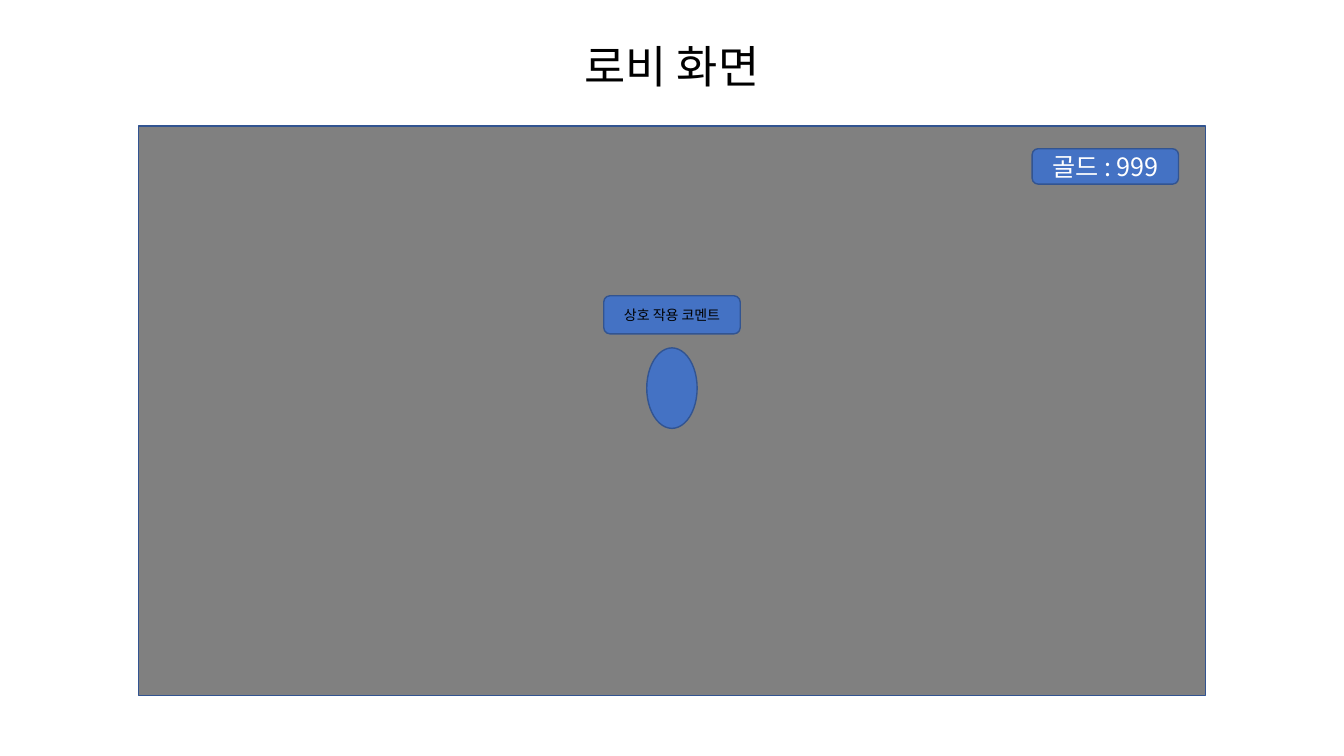
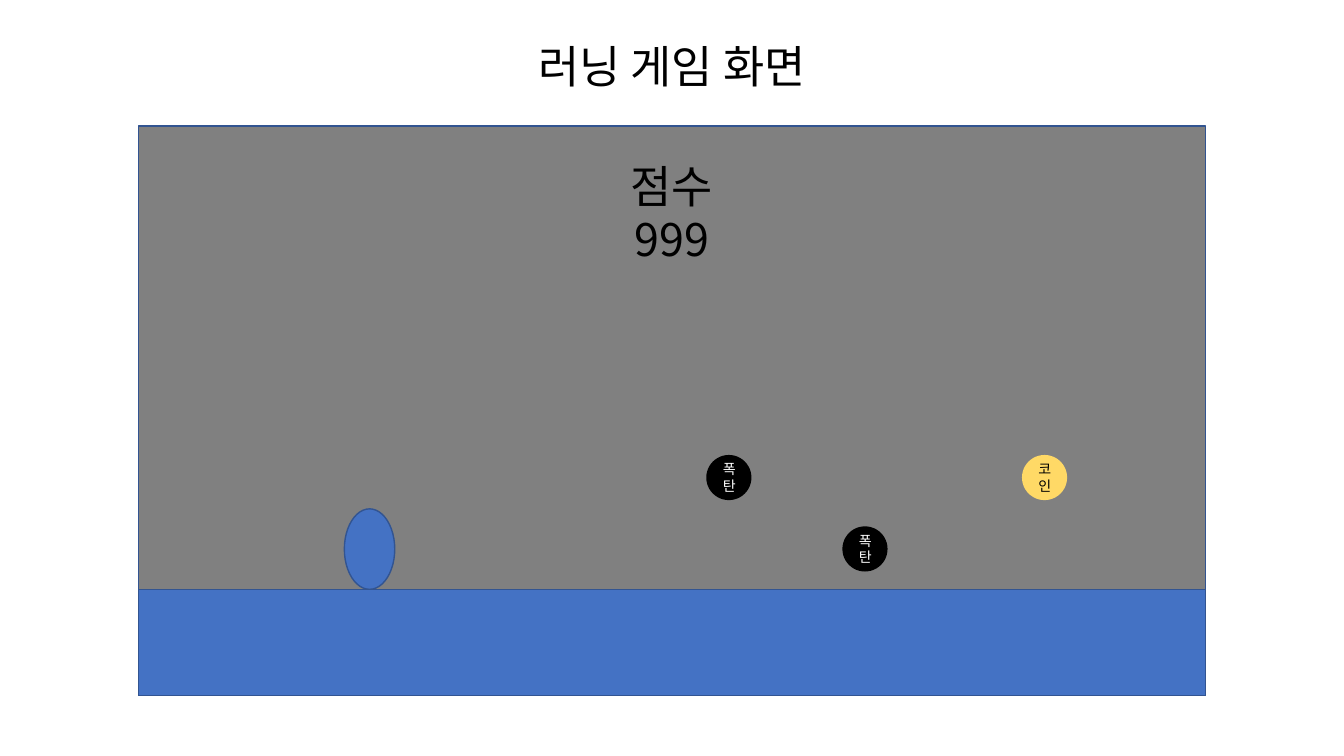
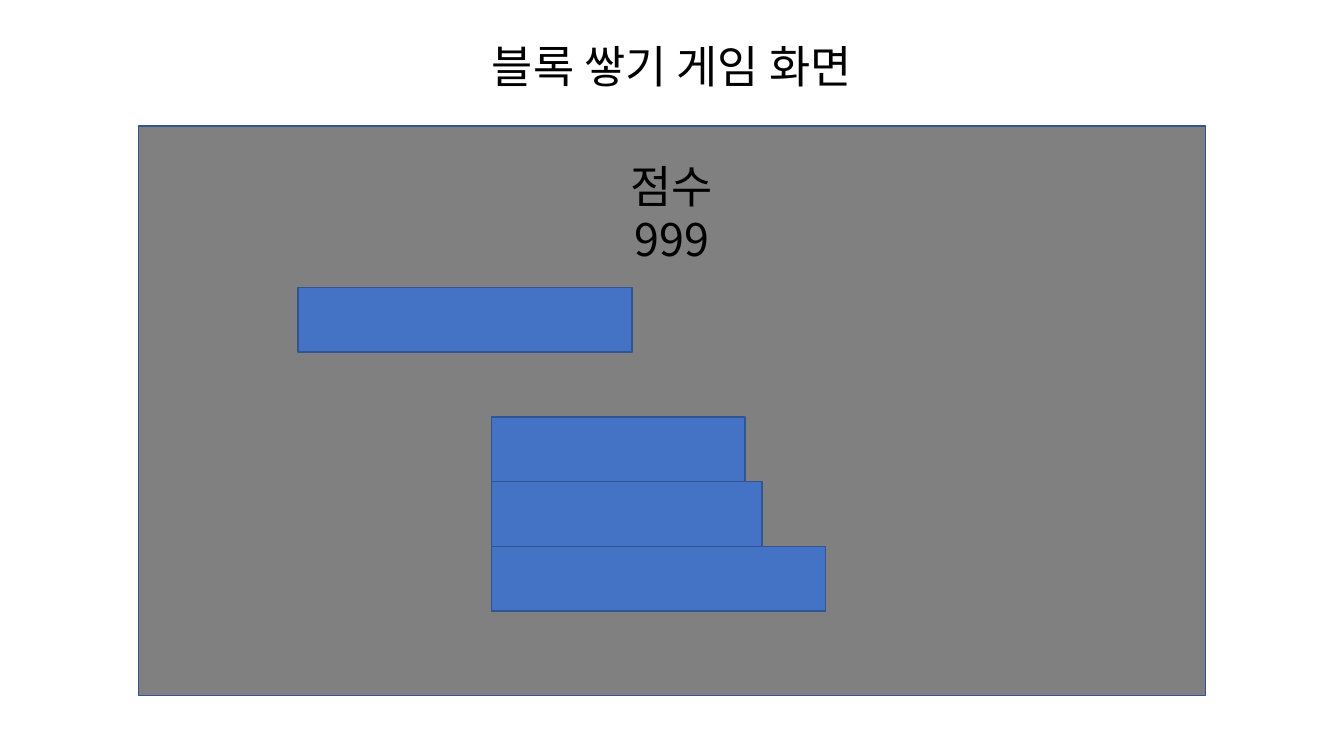
import pptx
import pptx.util
import pptx.dml.color
import pptx.enum.shapes
import pptx.enum.text
import pptx.oxml
import pptx.oxml.ns

Pt = pptx.util.Pt
SHAPE = pptx.enum.shapes.MSO_SHAPE
ANCHOR = pptx.enum.text.MSO_ANCHOR
AUTO_SIZE = pptx.enum.text.MSO_AUTO_SIZE
CENTER = pptx.enum.text.PP_ALIGN.CENTER

FONT = "Noto Sans CJK KR"
BLUE, EDGE, GRAY = "4472C4", "325491", "808080"
BLACK, WHITE, GOLD = "000000", "FFFFFF", "FFD966"

SLIDE_W, SLIDE_H = 960, 540
FRAME_X, FRAME_Y, FRAME_W, FRAME_H = 99, 90, 762, 407
PLAYER_W, PLAYER_H = 36, 57.5
GROUND_Y = 421
ITEM_SIZE = 32.25
BLOCK_W, BLOCK_H = 238.5, 46.25


def rgb(value):
    return pptx.dml.color.RGBColor.from_string(value)


def set_all(obj, formats):
    for name, value in formats.items():
        setattr(obj, name, value)


def write(tf, text, size, color, **frame_formats):
    """Fill a text frame with centred text, one paragraph per line."""
    set_all(tf, frame_formats)
    for i, line in enumerate(text.split("\n")):
        p = tf.add_paragraph() if i else tf.paragraphs[0]
        p.alignment = CENTER
        r = p.add_run()
        r.text = line
        set_all(r.font, {"name": FONT, "size": Pt(size)})
        r.font.color.rgb = rgb(color)
        ea = pptx.oxml.parse_xml(
            f'<a:ea {pptx.oxml.ns.nsdecls("a")} typeface="{FONT}"/>')
        r.font._element.find(pptx.oxml.ns.qn("a:latin")).addnext(ea)


def add_shape(slide, kind, x, y, w, h, fill=BLUE, edge=EDGE,
              text="", size=10, color=BLACK):
    sp = slide.shapes.add_shape(kind, Pt(x), Pt(y), Pt(w), Pt(h))
    sp.shadow.inherit = False
    sp.fill.solid()
    sp.fill.fore_color.rgb = rgb(fill)
    if edge:
        sp.line.color.rgb = rgb(edge)
        sp.line.width = Pt(1)
    else:
        sp.line.fill.background()
    if text:
        write(sp.text_frame, text, size, color,
              word_wrap=True, vertical_anchor=ANCHOR.MIDDLE)


def add_heading(slide, text, y, w, h, wrap):
    """Add large text centred across the slide."""
    sp = slide.shapes.add_textbox(Pt((SLIDE_W - w) / 2), Pt(y), Pt(w), Pt(h))
    write(sp.text_frame, text, 32, BLACK,
          word_wrap=wrap, auto_size=AUTO_SIZE.SHAPE_TO_FIT_TEXT)


def add_screen(prs, title, title_w):
    """Add a slide with its title and the gray game screen."""
    slide = prs.slides.add_slide(prs.slide_layouts[6])
    add_shape(slide, SHAPE.RECTANGLE, FRAME_X, FRAME_Y, FRAME_W, FRAME_H, GRAY)
    add_heading(slide, title, 24, title_w, 46, wrap=False)
    return slide


def add_score(slide):
    add_heading(slide, "점수\n999", 109.5, 123, 85, wrap=True)


def add_player(slide, center_x, bottom):
    add_shape(slide, SHAPE.OVAL, center_x - PLAYER_W / 2, bottom - PLAYER_H,
              PLAYER_W, PLAYER_H)


def add_item(slide, text, x, y, fill, color):
    add_shape(slide, SHAPE.OVAL, x, y, ITEM_SIZE, ITEM_SIZE, fill, None,
              text, color=color)


def add_block(slide, x, y, w=BLOCK_W):
    add_shape(slide, SHAPE.RECTANGLE, x, y, w, BLOCK_H)


def build_lobby(prs):
    slide = add_screen(prs, "로비 화면", 155)
    add_player(slide, SLIDE_W / 2, 306)
    add_shape(slide, SHAPE.ROUNDED_RECTANGLE, 737.25, 106.25, 104.5, 25.25,
              text="골드 : 999", size=18, color=WHITE)
    add_shape(slide, SHAPE.ROUNDED_RECTANGLE, 431.25, 211.25, 97.5, 27.25,
              text="상호 작용 코멘트")


def build_running_game(prs):
    slide = add_screen(prs, "러닝 게임 화면", 231)
    add_player(slide, 264, GROUND_Y)
    add_shape(slide, SHAPE.RECTANGLE, FRAME_X, GROUND_Y,
              FRAME_W, FRAME_Y + FRAME_H - GROUND_Y)
    for x, y in ((504.5, 325), (601.75, 376)):
        add_item(slide, "폭탄", x, y, BLACK, WHITE)
    add_item(slide, "코인", 730, 325, GOLD, BLACK)
    add_score(slide)


def build_stacking_game(prs):
    slide = add_screen(prs, "블록 쌓기 게임 화면", 307.5)
    for level, w in enumerate((BLOCK_W, 193, 181)):
        add_block(slide, 351.25, 390.25 - level * BLOCK_H, w)
    add_block(slide, 213, 205.25)
    add_score(slide)


def main():
    prs = pptx.Presentation()
    set_all(prs, {"slide_width": Pt(SLIDE_W), "slide_height": Pt(SLIDE_H)})
    build_lobby(prs)
    build_running_game(prs)
    build_stacking_game(prs)
    prs.save("out.pptx")


if __name__ == "__main__":
    main()
